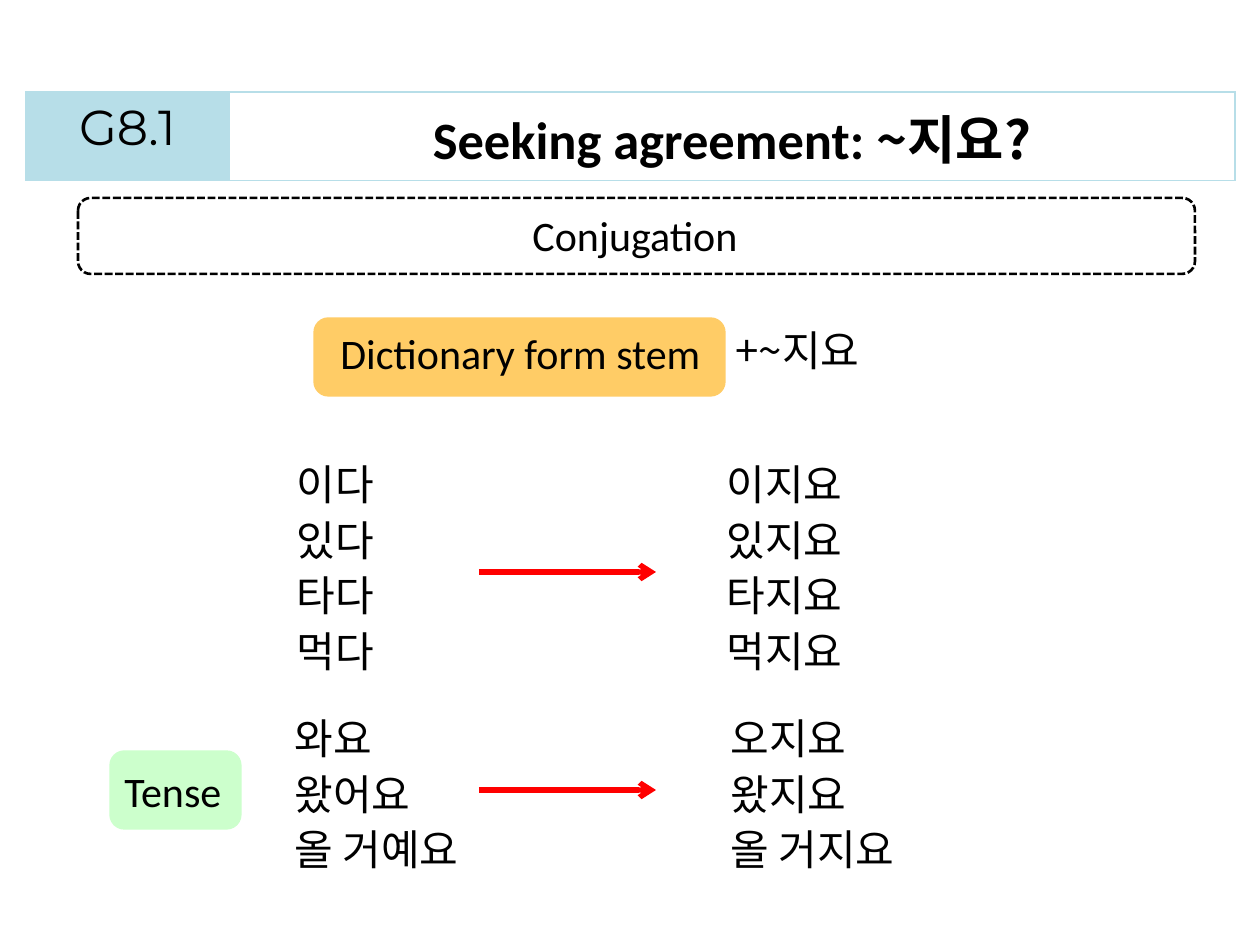
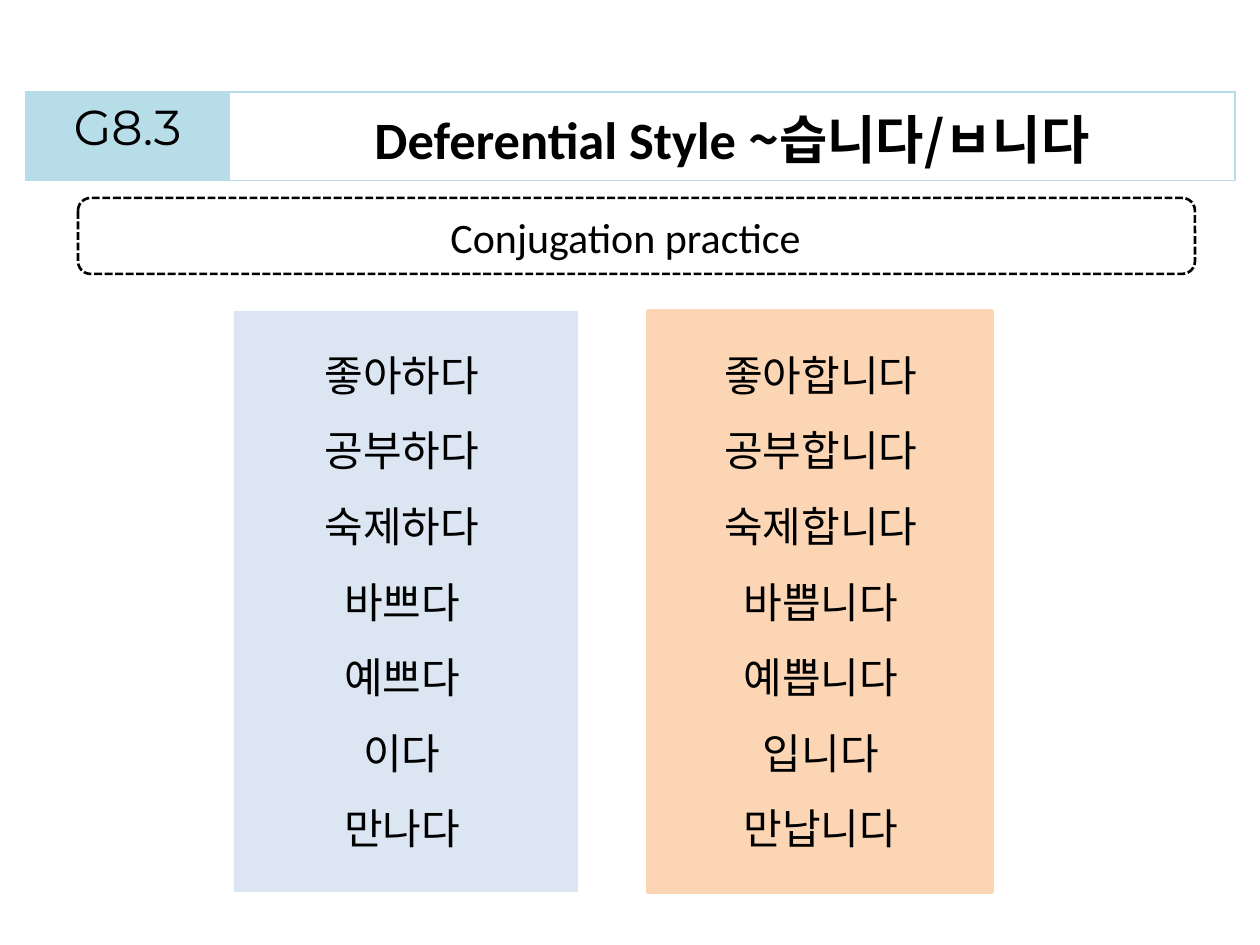
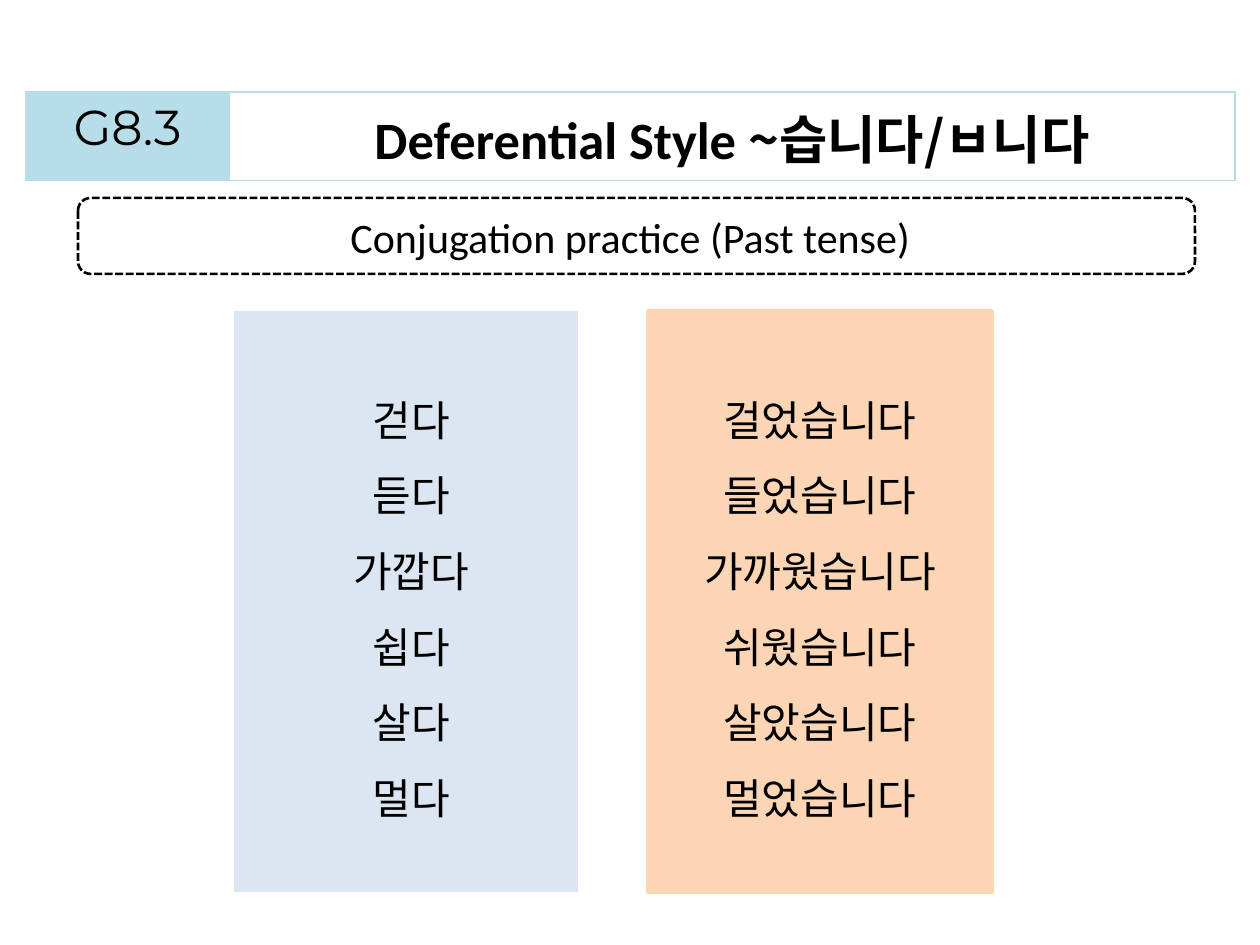
from dataclasses import dataclass

from lxml import etree
from pptx import Presentation
from pptx import util as u
from pptx.dml.color import RGBColor
from pptx.enum import dml, shapes, text
from pptx.oxml.ns import qn


@dataclass(frozen=True)
class Theme:
    ink: str = "000000"
    header: str = "B7DEE8"
    stem: str = "FFCC66"
    tense: str = "CCFFCC"
    arrow: str = "FF0000"
    plain: str = "DCE6F2"
    polite: str = "FCD5B5"
    english: str = "Calibri"
    korean: str = "Noto Sans CJK KR"
    code: str = "Montserrat"
    body_size: int = 24
    code_size: int = 28
    title_size: int = 30


theme = Theme()


def px(*lengths):
    return [u.Emu(round(length * 914400 / 126)) for length in lengths]


def write(frame, lines, font=theme.english, size=theme.body_size, bold=False,
          align=text.PP_ALIGN.LEFT, spacing=None):
    for index, line in enumerate(lines):
        paragraph = frame.add_paragraph() if index else frame.paragraphs[0]
        paragraph.alignment = align
        paragraph.line_spacing = spacing
        for words, face in [(line, font)] if isinstance(line, str) else line:
            run = paragraph.add_run()
            run.text = words
            run.font.size = u.Pt(size)
            run.font.bold = bold
            run.font.color.rgb = RGBColor.from_string(theme.ink)
            run.font.name = face
            east_asian = etree.SubElement(run.font._element, qn("a:ea"))
            east_asian.set("typeface", face)


center = text.PP_ALIGN.CENTER
rounded = shapes.MSO_SHAPE.ROUNDED_RECTANGLE
rectangle = shapes.MSO_SHAPE.RECTANGLE
korean = dict(font=theme.korean)
verbs = dict(font=theme.korean, align=center, spacing=u.Pt(31.8))
tenses = dict(font=theme.korean, spacing=u.Pt(31.8))
practice = dict(font=theme.korean, align=center, spacing=1.5)
panels = [
    (rectangle, (234, 311, 344, 581), theme.plain, 0),
    (rectangle, (648, 311, 344, 581), theme.polite, 2),
]
deferential = ("G8.3", "Deferential Style ", "~습니다/ㅂ니다")

lessons = [
    dict(
        heading=("G8.1", "Seeking agreement: ", "~지요?"),
        blocks=[
            (rounded, (316, 320, 407, 74), theme.stem, 3),
            (rounded, (112, 753, 127, 74), theme.tense, 3),
        ],
        arrows=[572, 790],
        captions=[
            ((520, 203, 233, 63), ["Conjugation"], {}),
            ((328, 321, 391, 63), ["Dictionary form stem"], {}),
            ((723, 318, 160, 63), ["+~지요"], korean),
            ((282, 447, 107, 237), ["이다", "있다", "타다", "먹다"], verbs),
            ((282, 701, 197, 180), ["와요", "왔어요", "올 거예요"], tenses),
            ((712, 447, 145, 237), ["이지요", "있지요", "타지요", "먹지요"], verbs),
            ((718, 701, 197, 180), ["오지요", "왔지요", "올 거지요"], tenses),
            ((112, 759, 127, 63), ["Tense"], {}),
        ],
    ),
    dict(
        heading=deferential,
        blocks=panels,
        arrows=[],
        captions=[
            ((438, 205, 382, 63), ["Conjugation practice"], {}),
            ((708, 318, 226, 543),
             ["좋아합니다", "공부합니다", "숙제합니다", "바쁩니다", "예쁩니다", "입니다", "만납니다"],
             practice),
            ((309, 318, 186, 543),
             ["좋아하다", "공부하다", "숙제하다", "바쁘다", "예쁘다", "이다", "만나다"],
             practice),
        ],
    ),
    dict(
        heading=deferential,
        blocks=panels,
        arrows=[],
        captions=[
            ((338, 205, 595, 63), ["Conjugation practice (Past tense)"], {}),
            ((687, 363, 266, 466),
             ["걸었습니다", "들었습니다", "가까웠습니다", "쉬웠습니다", "살았습니다", "멀었습니다"],
             practice),
            ((338, 363, 146, 466), ["걷다", "듣다", "가깝다", "쉽다", "살다", "멀다"], practice),
        ],
    ),
]

deck = Presentation()
deck.slide_width, deck.slide_height = px(1260, 945)

for lesson in lessons:
    slide = deck.slides.add_slide(deck.slide_layouts[6])
    code, title, ending = lesson["heading"]

    header = slide.shapes.add_table(1, 2, *px(26, 92, 1209, 75)).table
    header.first_row = header.horz_banding = False
    for column, width in zip(header.columns, px(203, 1006)):
        column.width = width
    code_cell, title_cell = header.rows[0].cells
    for cell in (code_cell, title_cell):
        properties = cell._tc.get_or_add_tcPr()
        for side in ("a:lnL", "a:lnR", "a:lnT", "a:lnB"):
            border = etree.SubElement(properties, qn(side), w=str(u.Pt(1)))
            paint = etree.SubElement(border, qn("a:solidFill"))
            etree.SubElement(paint, qn("a:srgbClr"), val=theme.header)
    code_cell.fill.solid()
    code_cell.fill.fore_color.rgb = RGBColor.from_string(theme.header)
    title_cell.fill.background()
    write(code_cell.text_frame, [code], font=theme.code, size=theme.code_size, align=center)
    write(title_cell.text_frame, [[(title, theme.english), (ending, theme.korean)]],
          size=theme.title_size, bold=True, align=center)

    topic = slide.shapes.add_shape(rounded, *px(78, 198, 1117, 76))
    topic.shadow.inherit = False
    topic.fill.background()
    topic.line.color.rgb = RGBColor.from_string(theme.ink)
    topic.line.width = u.Pt(1.5)
    topic.line.dash_style = dml.MSO_LINE.SQUARE_DOT

    for outline, place, color, edge in lesson["blocks"]:
        block = slide.shapes.add_shape(outline, *px(*place))
        block.shadow.inherit = False
        block.fill.solid()
        block.fill.fore_color.rgb = RGBColor.from_string(color)
        if edge:
            block.line.color.rgb = RGBColor.from_string(color)
            block.line.width = u.Pt(edge)
        else:
            block.line.fill.background()

    for level in lesson["arrows"]:
        arrow = slide.shapes.add_connector(
            shapes.MSO_CONNECTOR.STRAIGHT, *px(479, level, 656, level))
        arrow.line.color.rgb = RGBColor.from_string(theme.arrow)
        arrow.line.width = u.Pt(3)
        drawing = arrow._element.spPr
        etree.SubElement(drawing.find(qn("a:ln")), qn("a:tailEnd"), type="arrow")
        etree.SubElement(drawing, qn("a:effectLst"))

    for place, lines, style in lesson["captions"]:
        caption = slide.shapes.add_textbox(*px(*place)).text_frame
        caption.word_wrap = False
        caption.auto_size = text.MSO_AUTO_SIZE.SHAPE_TO_FIT_TEXT
        write(caption, lines, **style)

deck.save("out.pptx")
